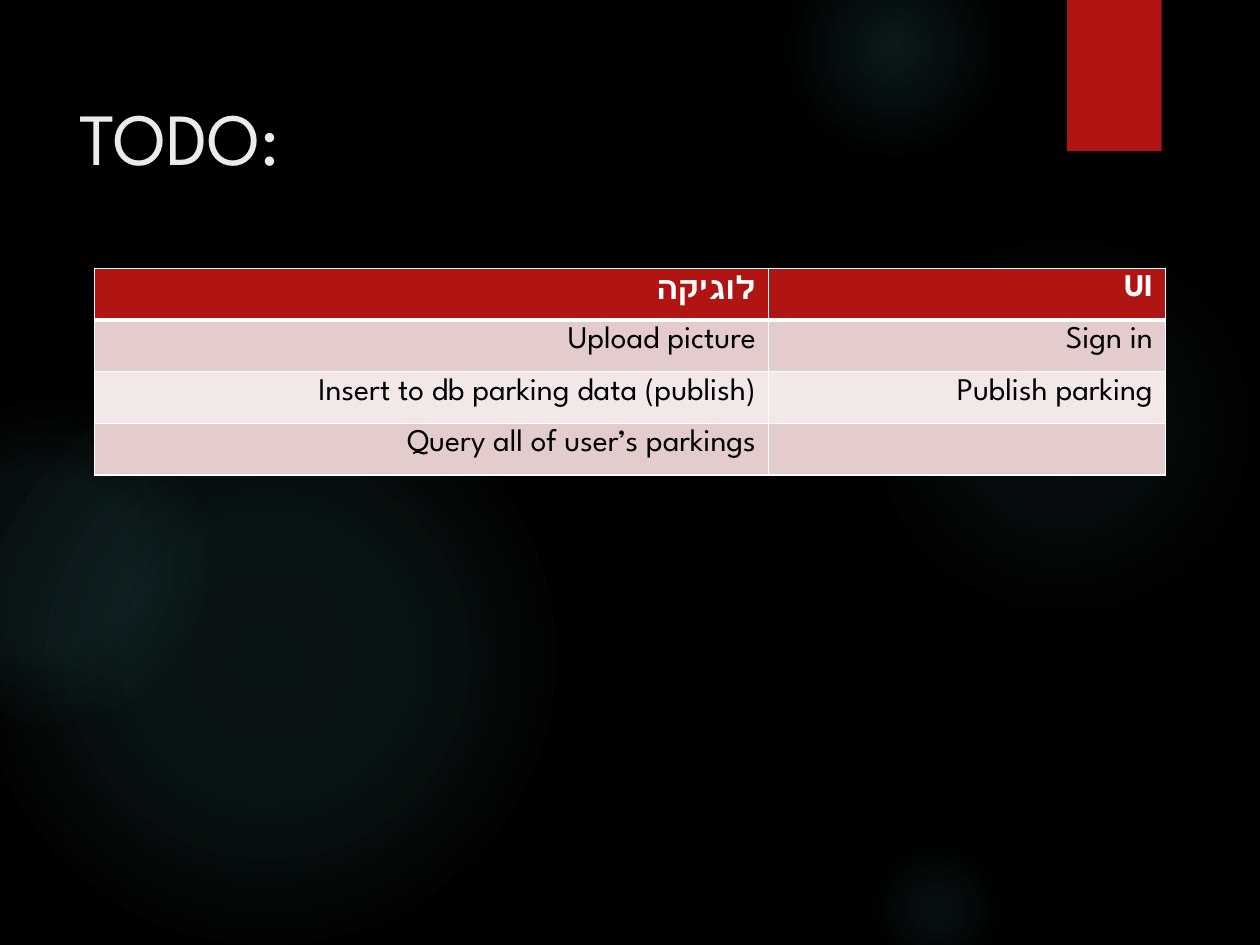
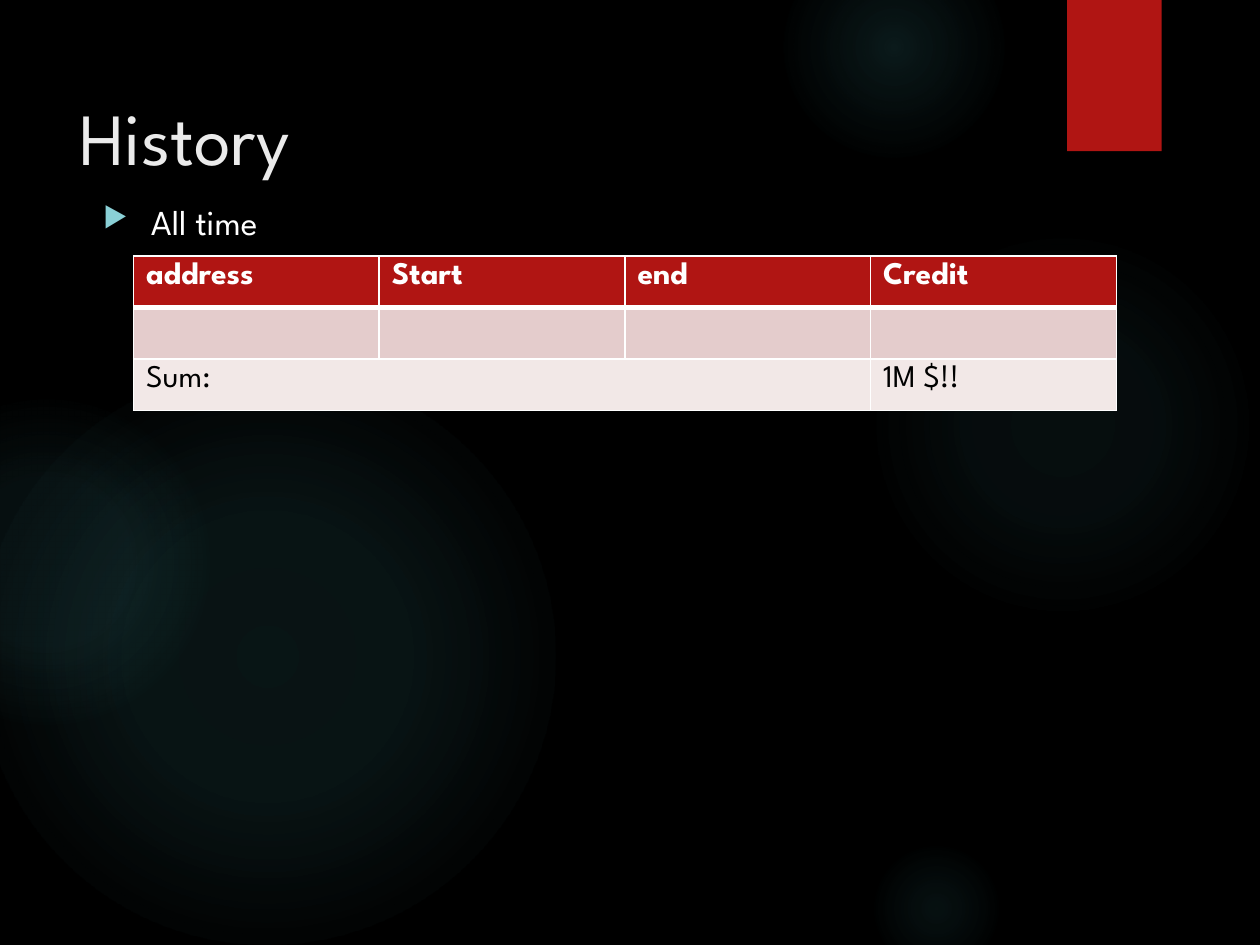
import dataclasses

import lxml.etree
import pptx
import pptx.dml.color
import pptx.enum.shapes
import pptx.enum.text
import pptx.oxml
import pptx.oxml.ns
import pptx.util

Inches = pptx.util.Inches
Pt = pptx.util.Pt
Align = pptx.enum.text.PP_ALIGN
Preset = pptx.enum.shapes.MSO_SHAPE
DRAWING = pptx.oxml.ns.nsdecls("a")


@dataclasses.dataclass(frozen=True)
class Theme:
    font: str = "League Spartan"
    background: str = "000000"
    glow: str = "50B9C1"
    accent: str = "B01513"
    title: str = "EBEBEB"
    light: str = "FFFFFF"
    dark: str = "000000"
    bullet: str = "8AD0D6"
    bands: tuple = ("E4CCCC", "F2E8E7")
    title_size: int = 42
    body_size: int = 20
    table_size: int = 18
    grid_line: int = 1
    header_line: int = 3


# Glows: left, top, diameter, then (position, opacity) stops in percent
GLOWS = [
    (6.89, 1.83, 3.08, [(0, 7), (36, 6), (69, 0)]),
    (6.22, -0.5, 1.75, [(0, 14), (36, 7), (73, 0)]),
    (6.89, 6.67, 1.08, [(0, 9), (36, 5), (66, 0)]),
    (-0.17, 2.92, 4.58, [(0, 11), (36, 10), (75, 0)]),
    (-0.92, 3.17, 2.58, [(0, 8), (36, 8), (72, 0)]),
]


def color(code):
    return pptx.dml.color.RGBColor.from_string(code)


def write(para, text, *, font, size, ink, bold=False, align=Align.LEFT, rtl=False):
    """Add one formatted span to a paragraph."""
    para.alignment = align
    if rtl:
        para._p.get_or_add_pPr().set("rtl", "1")
    span = para.add_run()
    span.text = text
    span.font.name = font
    span.font.size = Pt(size)
    span.font.bold = bold
    span.font.color.rgb = color(ink)


class SlideBuilder:
    def __init__(self, deck, theme):
        self.deck = deck
        self.theme = theme
        self.slide = None

    def start(self, title):
        """Add a slide with the shared background, glows, tab and title."""
        self.slide = self.deck.slides.add_slide(self.deck.slide_layouts[6])
        fill = self.slide.background.fill
        fill.solid()
        fill.fore_color.rgb = color(self.theme.background)
        for left, top, diameter, stops in GLOWS:
            self.glow(left, top, diameter, stops)
        tab = self.shape(Preset.RECTANGLE, 8.47, 0, 0.75, 1.2)
        tab.fill.solid()
        tab.fill.fore_color.rgb = color(self.theme.accent)
        para = self.text_box(0.53, 0.5, 7.72, 1.53, inset_top=0.23)
        write(para, title, font=self.theme.font, size=self.theme.title_size,
              ink=self.theme.title)

    def shape(self, preset, left, top, width, height):
        shape = self.slide.shapes.add_shape(
            preset, Inches(left), Inches(top), Inches(width), Inches(height))
        shape.shadow.inherit = False
        shape.line.fill.background()
        return shape

    def glow(self, left, top, diameter, stops):
        circle = self.shape(Preset.OVAL, left, top, diameter, diameter)
        circle.fill.background()
        stop_list = "".join(
            f'<a:gs pos="{position * 1000}"><a:srgbClr val="{self.theme.glow}">'
            f'<a:alpha val="{opacity * 1000}"/></a:srgbClr></a:gs>'
            for position, opacity in stops)
        gradient = pptx.oxml.parse_xml(
            f'<a:gradFill {DRAWING} rotWithShape="1"><a:gsLst>{stop_list}</a:gsLst>'
            '<a:path path="circle"><a:fillToRect l="50000" t="50000" r="50000" '
            'b="50000"/></a:path></a:gradFill>')
        properties = circle._element.spPr
        properties.replace(properties.find(pptx.oxml.ns.qn("a:noFill")), gradient)

    def text_box(self, left, top, width, height, inset_top):
        box = self.slide.shapes.add_textbox(
            Inches(left), Inches(top), Inches(width), Inches(height))
        box.text_frame.word_wrap = True
        box.text_frame.margin_top = Inches(inset_top)
        return box.text_frame.paragraphs[0]

    def bullet(self, text, left, top, width, height):
        para = self.text_box(left, top, width, height, inset_top=0.13)
        write(para, text, font=self.theme.font, size=self.theme.body_size,
              ink=self.theme.light)
        properties = para._p.get_or_add_pPr()
        properties.set("marL", str(Inches(0.38)))
        properties.set("indent", str(-Inches(0.38)))
        for mark in (
            f'<a:buClr {DRAWING}><a:srgbClr val="{self.theme.bullet}"/></a:buClr>',
            f'<a:buSzPct {DRAWING} val="80000"/>',
            f'<a:buChar {DRAWING} char="▶"/>',
        ):
            properties.append(pptx.oxml.parse_xml(mark))

    def table(self, rows, left, top, column_widths, row_height=0.41, **text_format):
        """Add a banded table with a header row; return it."""
        table = self.slide.shapes.add_table(
            len(rows), len(column_widths), Inches(left), Inches(top),
            Inches(sum(column_widths)), Inches(row_height * len(rows))).table
        for column, width in zip(table.columns, column_widths):
            column.width = Inches(width)
        for row_number, texts in enumerate(rows):
            table.rows[row_number].height = Inches(row_height)
            header = row_number == 0
            fill = self.theme.accent if header else self.theme.bands[(row_number - 1) % 2]
            for column_number, text in enumerate(texts):
                cell = table.cell(row_number, column_number)
                cell.fill.solid()
                cell.fill.fore_color.rgb = color(fill)
                self.borders(cell, row_number)
                if text:
                    write(cell.text_frame.paragraphs[0], text, font=self.theme.font,
                          size=self.theme.table_size, bold=header,
                          ink=self.theme.light if header else self.theme.dark,
                          **text_format)
        return table

    def borders(self, cell, row_number):
        thin, thick = self.theme.grid_line, self.theme.header_line
        widths = {
            "L": thin,
            "R": thin,
            "T": thick if row_number == 1 else thin,
            "B": thick if row_number == 0 else thin,
        }
        properties = cell._tc.get_or_add_tcPr()
        for index, (side, width) in enumerate(widths.items()):
            properties.insert(index, pptx.oxml.parse_xml(
                f'<a:ln{side} {DRAWING} w="{Pt(width)}"><a:solidFill>'
                f'<a:srgbClr val="{self.theme.light}"/></a:solidFill></a:ln{side}>'))


def main():
    deck = pptx.Presentation()
    deck.slide_width, deck.slide_height = Inches(10), Inches(7.5)
    builder = SlideBuilder(deck, Theme())

    # Task list
    builder.start("TODO:")
    tasks = [
        ("לוגיקה", "UI"),
        ("Upload picture", "Sign in"),
        ("Insert to db parking data (publish)", "Publish parking"),
        ("Query all of user’s parkings", ""),
    ]
    builder.table(tasks, 0.75, 2.13, [5.35, 3.15], align=Align.RIGHT, rtl=True)

    # Parking history
    builder.start("History")
    history = [
        ("address", "Start", "end", "Credit"),
        ("", "", "", ""),
        ("Sum:", "", "", "1M $!!"),
    ]
    table = builder.table(history, 1.06, 2.03, [1.95] * 4)
    table.cell(2, 0).merge(table.cell(2, 2))
    builder.bullet("All time", 0.72, 1.46, 7.34, 4.59)

    deck.save("out.pptx")


if __name__ == "__main__":
    main()
